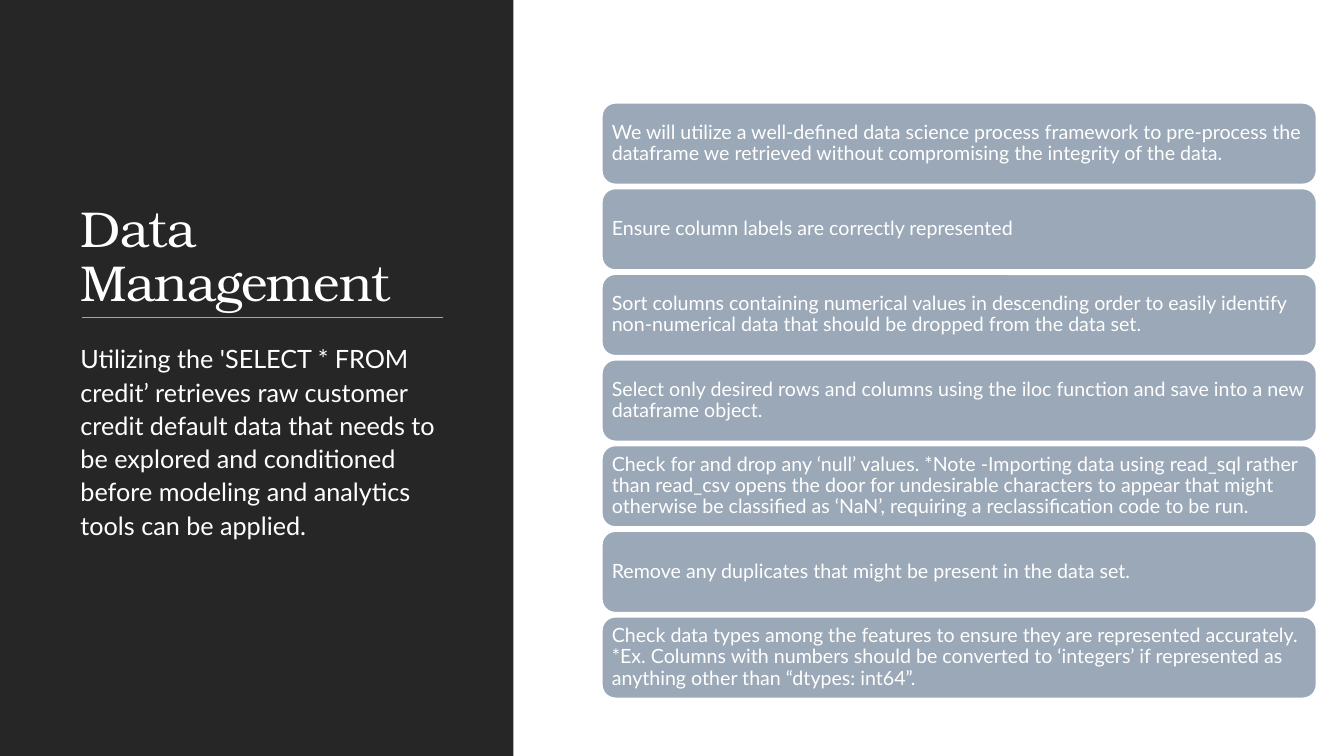
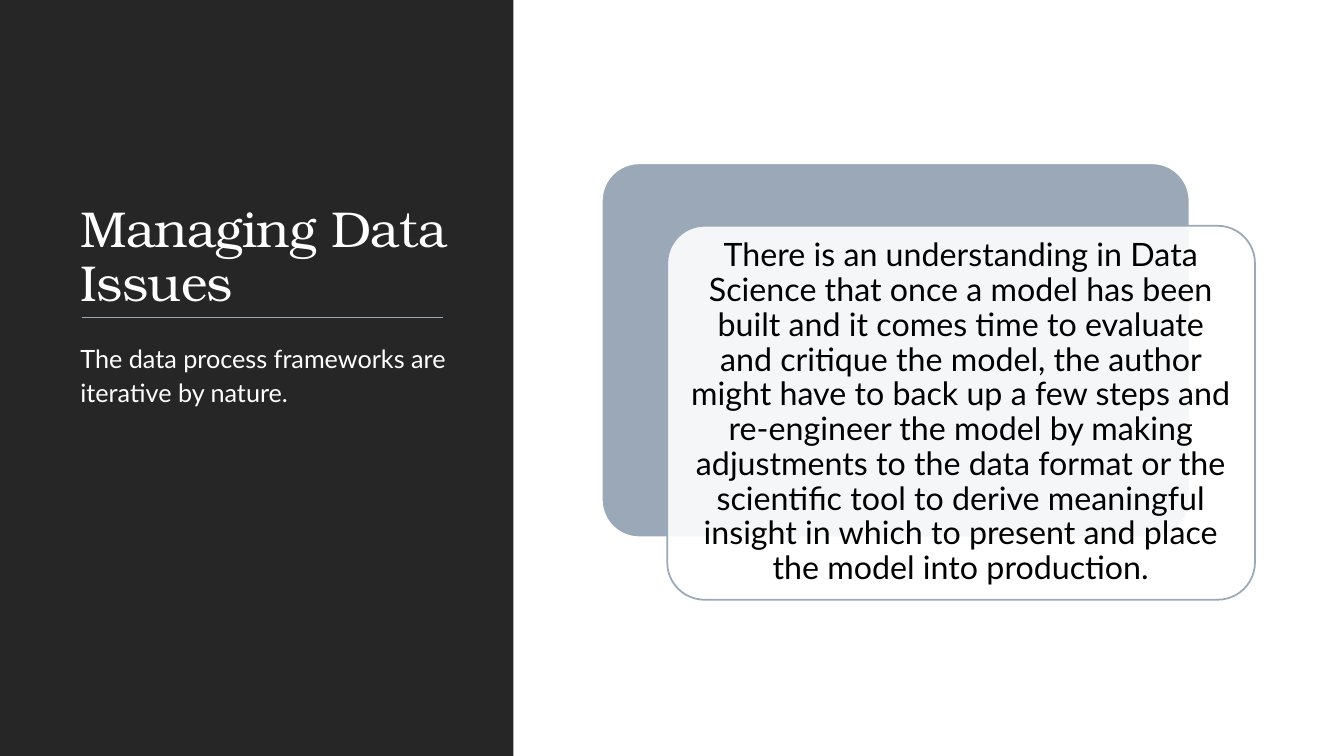
from pptx import Presentation, util as u
from pptx.dml.color import RGBColor
from pptx.enum import shapes, text
from pptx.oxml.ns import qn
from lxml import etree

DARK = RGBColor(0x26, 0x26, 0x26)
SLATE = RGBColor(0x9B, 0xA8, 0xB7)
WHITE = RGBColor(0xFF, 0xFF, 0xFF)
BLACK = RGBColor(0, 0, 0)
HEAD, BODY = "TeX Gyre Bonum", "Lato"

# Lengths are percentages of the slide's width (columns) and height (rows).
PANEL_W = 38.2
TEXT_X, TEXT_W = 5.25, 28.88
RULE_X1, RULE_X2, RULE_Y = 6.08, 33, 42
CONTENT_X = 44.78
STEP_W, STEP_H, STEP_TOP, STEP_PITCH = 53.18, 10.8, 13.6, 11.33
CARD_W, CARD_H = 43.73, 49.47

STEPS = [
    "We will utilize a well-defined data science process framework to pre-process "
    "the dataframe we retrieved without compromising the integrity of the data.",
    "Ensure column labels are correctly represented",
    "Sort columns containing numerical values in descending order to easily identify "
    "non-numerical data that should be dropped from the data set.",
    "Select only desired rows and columns using the iloc function and save into a new "
    "dataframe object.",
    "Check for and drop any ‘null’ values. *Note -Importing data using read_sql rather "
    "than read_csv opens the door for undesirable characters to appear that might "
    "otherwise be classified as ‘NaN’, requiring a reclassification code to be run.",
    "Remove any duplicates that might be present in the data set.",
    "Check data types among the features to ensure they are represented accurately. "
    "*Ex. Columns with numbers should be converted to ‘integers’ if represented as "
    "anything other than “dtypes: int64”.",
]


class Deck:
    """Holds the shared style and the slide being built."""

    def __init__(self):
        self.prs = Presentation()
        self.prs.slide_width = u.Inches(13.333)
        self.prs.slide_height = u.Inches(7.5)
        self.s = None

    def x(self, share):
        return u.Emu(round(self.prs.slide_width * share / 100))

    def y(self, share):
        return u.Emu(round(self.prs.slide_height * share / 100))

    def box(self, left, top, width, height):
        return self.x(left), self.y(top), self.x(width), self.y(height)

    def new_slide(self, title, summary):
        """Start a slide with the dark side panel, title, rule and summary."""
        self.s = self.prs.slides.add_slide(self.prs.slide_layouts[6])
        self.shape(shapes.MSO_SHAPE.RECTANGLE, (0, 0, PANEL_W, 100), DARK)
        self.title(title)
        self.summary(summary)
        self.rule()

    def shape(self, kind, place, fill, line=None):
        sp = self.s.shapes.add_shape(kind, *self.box(*place))
        sp.shadow.inherit = False
        sp.fill.solid()
        sp.fill.fore_color.rgb = fill
        if line is None:
            sp.line.fill.background()
        else:
            sp.line.color.rgb = line
            sp.line.width = u.Pt(1.25)
        return sp

    def put_text(self, sp, words, size, color, font=BODY, spacing=0.9,
                 anchor=text.MSO_ANCHOR.MIDDLE, align=text.PP_ALIGN.LEFT, inset=None):
        """Fill a shape with one styled paragraph and return the paragraph."""
        tf = sp.text_frame
        tf.word_wrap = True
        tf.vertical_anchor = anchor
        if inset is not None:
            tf.margin_left = tf.margin_right = u.Inches(inset)
            tf.margin_top = tf.margin_bottom = u.Inches(inset)
        p = tf.paragraphs[0]
        p.alignment = align
        p.line_spacing = spacing
        p.font.name = font
        p.font.size = u.Pt(size)
        p.font.color.rgb = color
        p.add_run().text = words
        return p

    def title(self, words):
        sp = self.s.shapes.add_textbox(*self.box(TEXT_X, 11.47, TEXT_W, 30.53))
        p = self.put_text(sp, words, 36, WHITE, HEAD, anchor=text.MSO_ANCHOR.BOTTOM)
        p.runs[0].font._element.set("spc", "-50")

    def summary(self, words):
        sp = self.s.shapes.add_textbox(*self.box(TEXT_X, 44.4, TEXT_W, 44.67))
        p = self.put_text(sp, words, 18, WHITE, spacing=1.1, anchor=text.MSO_ANCHOR.TOP)
        p.space_before, p.space_after = u.Pt(12), u.Pt(2)

    def rule(self):
        line = self.s.shapes.add_connector(
            shapes.MSO_CONNECTOR.STRAIGHT,
            self.x(RULE_X1), self.y(RULE_Y), self.x(RULE_X2), self.y(RULE_Y))
        line.line.color.rgb = SLATE
        line.line.width = u.Pt(1)
        etree.SubElement(line._element.spPr, qn("a:effectLst"))

    def steps(self, items):
        """Stack equal rounded bars, one for each item."""
        for i, words in enumerate(items):
            place = CONTENT_X, STEP_TOP + i * STEP_PITCH, STEP_W, STEP_H
            sp = self.shape(shapes.MSO_SHAPE.ROUNDED_RECTANGLE, place, SLATE, WHITE)
            self.put_text(sp, words, 14, WHITE, inset=0.06)

    def card(self, left, top, fill, line):
        sp = self.shape(shapes.MSO_SHAPE.ROUNDED_RECTANGLE,
                        (left, top, CARD_W, CARD_H), fill, line)
        sp.adjustments[0] = 0.1
        return sp

    def layered_card(self, words):
        """Put a translucent text card over an offset solid one."""
        self.card(CONTENT_X, 21.6, SLATE, WHITE)
        front = self.card(49.65, 29.87, WHITE, SLATE)
        color = front._element.spPr.find(qn("a:solidFill"))[0]
        etree.SubElement(color, qn("a:alpha"), val="90000")
        self.put_text(front, words, 23, BLACK, align=text.PP_ALIGN.CENTER, inset=0.1)


def main():
    deck = Deck()
    deck.new_slide(
        "Data Management",
        "Utilizing the 'SELECT * FROM credit’ retrieves raw customer credit default "
        "data that needs to be explored and conditioned before modeling and analytics "
        "tools can be applied.")
    deck.steps(STEPS)

    deck.new_slide("Managing Data Issues",
                   "The data process frameworks are iterative by nature.")
    deck.layered_card(
        "There is an understanding in Data Science that once a model has been built "
        "and it comes time to evaluate and critique the model, the author might have "
        "to back up a few steps and re-engineer the model by making adjustments to the "
        "data format or the scientific tool to derive meaningful insight in which to "
        "present and place the model into production.")
    deck.prs.save("out.pptx")


if __name__ == "__main__":
    main()
